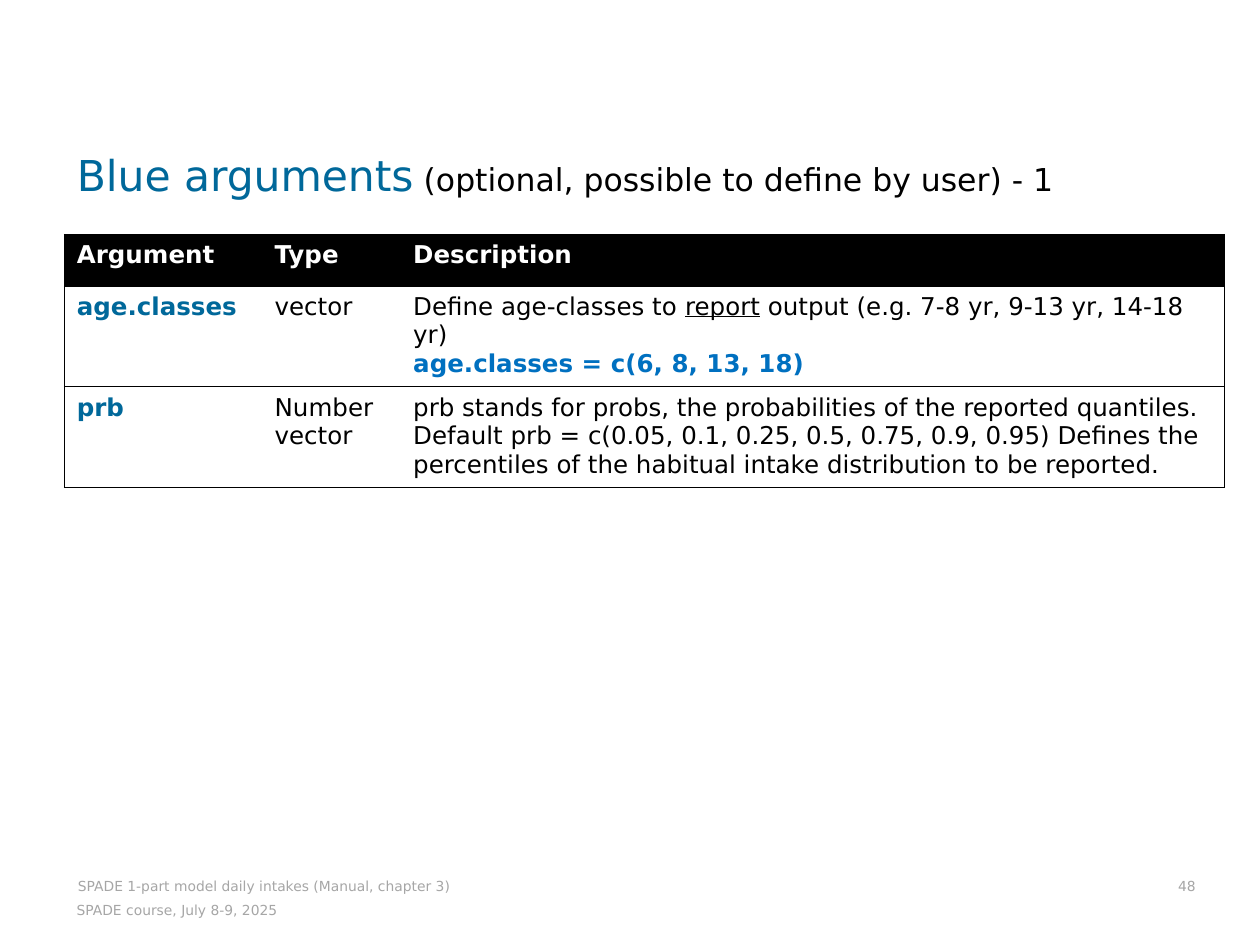
import pptx
import pptx.dml.color
import pptx.enum.text
import pptx.oxml
import pptx.oxml.ns
import pptx.util
from pptx.util import Inches

FONT = "DejaVu Sans"
BLACK, WHITE, GREY = "000000", "FFFFFF", "A6A6A6"
TEAL, BLUE = "00689A", "0070C0"
ANCHOR = pptx.enum.text.MSO_ANCHOR
ALIGN = pptx.enum.text.PP_ALIGN
COLUMN_WIDTHS = (1.57, 1.1, 6.54)
ROW_HEIGHTS = (0.41, 0.79, 0.79)
HEADINGS = ("Argument", "Type", "Description")
ARGUMENTS = [
    ("age.classes", ["vector"], [
        ["Define age-classes to ", "report", " output (e.g. 7-8 yr, 9-13 yr, 14-18 yr)"],
        ["age.classes = c(6, 8, 13, 18)"],
    ]),
    ("prb", ["Number", "vector"], [[
        "prb stands for probs, the probabilities of the reported quantiles. "
        "Default prb = c(0.05, 0.1, 0.25, 0.5, 0.75, 0.9, 0.95) "
        "Defines the percentiles of the habitual intake distribution to be reported."
    ]]),
]


def rgb(color):
    """Return the colour for a hex string."""
    return pptx.dml.color.RGBColor.from_string(color)


def set_font(font, size, color, bold=False):
    """Format the font of a paragraph or run."""
    font.name = FONT
    font.size = pptx.util.Pt(size)
    font.bold = bold
    font.color.rgb = rgb(color)


def add_title(slide):
    """Fill the title placeholder with a large and a smaller part."""
    title = slide.shapes.title
    title.left, title.top = Inches(0.51), Inches(1.15)
    title.width, title.height = Inches(8.94), Inches(0.49)
    frame = title.text_frame
    frame.auto_size = pptx.enum.text.MSO_AUTO_SIZE.NONE
    frame.vertical_anchor = ANCHOR.BOTTOM
    paragraph = frame.paragraphs[0]
    paragraph.alignment = ALIGN.LEFT
    paragraph.line_spacing = 0.9
    for text, size, color in (
        ("Blue arguments", 24.3, TEAL),
        (" (optional, possible to define by user) - 1", 18, BLACK),
    ):
        run = paragraph.add_run()
        run.text = text
        set_font(run.font, size, color)


def add_footer(slide, text, left, top, height, align=ALIGN.LEFT,
               anchor=ANCHOR.BOTTOM, margin_top=0.05, margin_right=0.1):
    """Add a small grey footer text."""
    box = slide.shapes.add_textbox(Inches(left), Inches(top), Inches(4.1), Inches(height))
    frame = box.text_frame
    frame.word_wrap = True
    frame.vertical_anchor = anchor
    frame.margin_top, frame.margin_right = Inches(margin_top), Inches(margin_right)
    paragraph = frame.paragraphs[0]
    paragraph.text = text
    paragraph.alignment = align
    set_font(paragraph.font, 7.9, GREY)


def set_borders(cell, visible_sides):
    """Draw thin black lines on the named sides and none on the others."""
    properties = cell._tc.get_or_add_tcPr()
    namespace = pptx.oxml.ns.nsdecls("a")
    line = f'<a:solidFill><a:srgbClr val="{BLACK}"/></a:solidFill>'
    for side in "LRTB":
        fill = line if side in visible_sides else "<a:noFill/>"
        properties.append(pptx.oxml.parse_xml(
            f'<a:ln{side} {namespace} w="{pptx.util.Pt(0.5)}">{fill}</a:ln{side}>'))


def fill_cell(cell, lines, color, bold=False, background=WHITE):
    """Write one paragraph per list of runs in a cell."""
    cell.fill.solid()
    cell.fill.fore_color.rgb = rgb(background)
    frame = cell.text_frame
    for index, runs in enumerate(lines):
        paragraph = frame.add_paragraph() if index else frame.paragraphs[0]
        for text in runs:
            paragraph.add_run().text = text
        set_font(paragraph.font, 14, color, bold)


def add_argument_table(slide):
    """Add the table of arguments with its heading row."""
    table = slide.shapes.add_table(
        len(ROW_HEIGHTS), len(COLUMN_WIDTHS), Inches(0.51), Inches(1.86),
        Inches(sum(COLUMN_WIDTHS)), Inches(sum(ROW_HEIGHTS))).table
    table.first_row = table.horz_banding = False
    for column, width in zip(table.columns, COLUMN_WIDTHS):
        column.width = Inches(width)
    last = len(COLUMN_WIDTHS) - 1
    for row, height in zip(table.rows, ROW_HEIGHTS):
        row.height = Inches(height)
        for index, cell in enumerate(row.cells):
            set_borders(cell, "TB" + "L" * (index == 0) + "R" * (index == last))
    for index, heading in enumerate(HEADINGS):
        fill_cell(table.cell(0, index), [[heading]], WHITE, True, BLACK)
    for row, (name, types, description) in enumerate(ARGUMENTS, 1):
        fill_cell(table.cell(row, 0), [[name]], TEAL, True)
        fill_cell(table.cell(row, 1), [[text] for text in types], BLACK)
        fill_cell(table.cell(row, 2), description, BLACK)
    definition, example = table.cell(1, 2).text_frame.paragraphs
    definition.runs[1].font.underline = True
    set_font(example.font, 14, BLUE, True)


def main():
    """Build and save the slide."""
    presentation = pptx.Presentation()
    presentation.slide_width, presentation.slide_height = Inches(10), Inches(7.5)
    slide = presentation.slides.add_slide(presentation.slide_layouts[5])
    add_title(slide)
    add_footer(slide, "48", 5.39, 6.8, 0.35, align=ALIGN.RIGHT, margin_right=0)
    add_argument_table(slide)
    add_footer(slide, "SPADE 1-part model daily intakes (Manual, chapter 3)", 0.52, 6.8, 0.35)
    add_footer(slide, "SPADE course, July 8-9, 2025", 0.51, 7.16, 0.29,
               anchor=ANCHOR.TOP, margin_top=0)
    presentation.save("out.pptx")


if __name__ == "__main__":
    main()
